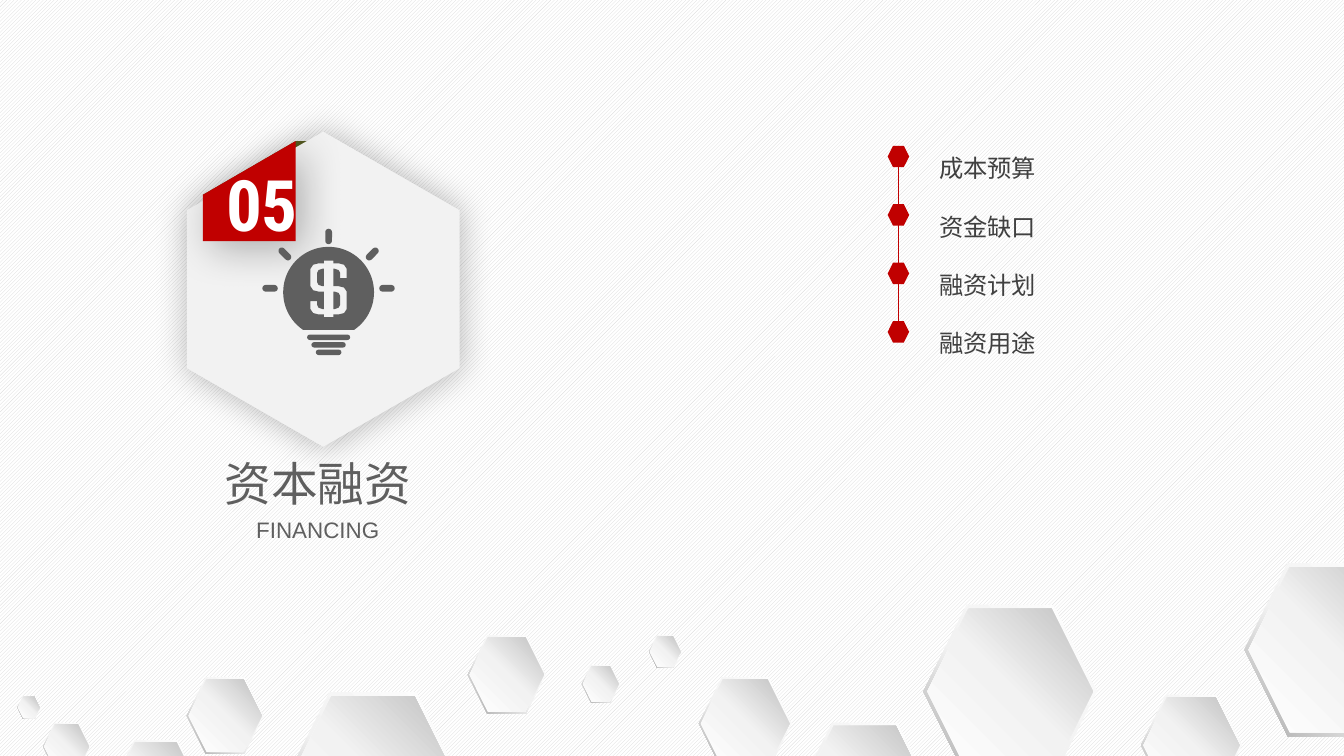
from dataclasses import dataclass
from math import cos, radians, sin

from lxml import etree
from pptx import Presentation
from pptx.dml.color import RGBColor
from pptx.enum.dml import MSO_PATTERN
from pptx.enum.shapes import MSO_CONNECTOR, MSO_SHAPE
from pptx.enum.text import MSO_ANCHOR, MSO_AUTO_SIZE, PP_ALIGN
from pptx.oxml.ns import qn
from pptx.util import Inches, Pt

HEXAGON, PILL = MSO_SHAPE.HEXAGON, MSO_SHAPE.ROUNDED_RECTANGLE
STRAIGHT = MSO_CONNECTOR.STRAIGHT
STRIPES = MSO_PATTERN.LIGHT_UPWARD_DIAGONAL
LEFT, CENTER = PP_ALIGN.LEFT, PP_ALIGN.CENTER
TOP, MIDDLE = MSO_ANCHOR.TOP, MSO_ANCHOR.MIDDLE
FIT_SHAPE = MSO_AUTO_SIZE.SHAPE_TO_FIT_TEXT

WHITE = RGBColor(0xFF, 0xFF, 0xFF)
PALE = RGBColor(0xF2, 0xF2, 0xF2)
STRIPE = RGBColor(0xD9, 0xD9, 0xD9)
SILVER = RGBColor(0xBF, 0xBF, 0xBF)
STEEL = RGBColor(0xA6, 0xA6, 0xA6)
GRAY = RGBColor(0x5F, 0x5F, 0x5F)
INK = RGBColor(0x40, 0x40, 0x40)
RED = RGBColor(0xC0, 0x00, 0x00)
OLIVE = RGBColor(0x5F, 0x65, 0x24)

CELL = Inches(0.1)  # the slide is a grid of 100 columns by 56.25 rows
COLUMNS, ROWS = 100, 56.25
Point = tuple[float, float]


@dataclass
class Tile:
    column: float
    row: float
    size: float


@dataclass
class Bar:
    """A pill given by its centre, length, thickness and rotation."""
    column: float
    row: float
    length: float
    thickness: float
    angle: float = 0


@dataclass
class Label:
    lines: list[str]
    box: tuple[float, float, float, float]
    size: float
    font: str
    color: RGBColor
    align: PP_ALIGN = CENTER
    anchor: MSO_ANCHOR = MIDDLE
    bold: bool = False
    spacing: float = 1.0
    insets: Point = (0.7, 0.4)
    grow: bool = False


TILES = [
    Tile(68.7, 45, 12.9), Tile(52, 50.4, 6.9), Tile(59.5, 53.8, 9.7),
    Tile(84.9, 51.7, 7.5), Tile(8.4, 55.1, 6.4), Tile(43.3, 49.5, 2.8),
    Tile(34.8, 47.3, 5.8), Tile(92.6, 41.9, 12.9), Tile(48.3, 47.3, 2.4),
    Tile(21.3, 51.5, 12.9), Tile(13.9, 50.4, 5.7), Tile(3.2, 53.8, 3.5),
    Tile(1.3, 51.8, 1.7),
]
TOPICS = ["成本预算", "资金缺口", "融资计划", "融资用途"]
MARKER_COLUMN, MARKER_ROW, MARKER_STEP, MARKER_SIZE = 66.85, 11.65, 4.35, 1.6

BULB_COLUMN, BULB_ROW, BULB_RADIUS = 24.45, 21.75, 3.38
BULB_BARS = [
    Bar(20.1, 21.45, 1.15, 0.5), Bar(21.2, 18.9, 1.15, 0.5, 45),
    Bar(BULB_COLUMN, 17.6, 1.15, 0.5, 90), Bar(27.7, 18.9, 1.15, 0.5, -45),
    Bar(28.8, 21.45, 1.15, 0.5),
    *(Bar(BULB_COLUMN, 25.1 + 0.56 * i, 3.2 - 0.65 * i, 0.4) for i in range(3)),
]
DOLLAR = [
    (25.8, 20.7), (25.8, 20), (25.6, 19.7), (25.2, 19.6), (24.8, 19.6),
    (24.8, 19.4), (24.1, 19.4), (24.1, 19.6), (23.7, 19.6), (23.3, 19.7),
    (23.1, 20), (23.1, 21.3), (23.3, 21.6), (23.7, 21.7), (24.1, 21.7),
    (24.1, 23), (24, 23), (23.7, 22.9), (23.6, 22.7), (23.6, 22.4),
    (23.1, 22.4), (23.1, 23), (23.3, 23.3), (23.7, 23.4), (24.1, 23.4),
    (24.1, 23.6), (24.8, 23.6), (24.8, 23.4), (25.2, 23.4), (25.6, 23.3),
    (25.8, 23), (25.8, 21.7), (25.6, 21.4), (25.2, 21.3), (24.8, 21.3),
    (24.8, 20), (24.9, 20), (25.2, 20.1), (25.3, 20.3), (25.3, 20.7),
]
DOLLAR_COUNTERS = [
    [(24.8, 21.7), (24.9, 21.7), (25.2, 21.8), (25.3, 22), (25.3, 22.7),
     (25.2, 22.9), (24.9, 23), (24.8, 23)],
    [(24.1, 20), (24, 20), (23.7, 20.1), (23.6, 20.3), (23.6, 21),
     (23.7, 21.2), (24, 21.3), (24.1, 21.3)],
]
BADGE = [(13.9, 27.4), (13.9, 15.65), (24.05, 9.8), (34.2, 15.65), (34.2, 27.4),
         (24.05, 33.25)]
FLAG = [(15.1, 17.95), (22, 17.95), (22, 10.5), (15.1, 14.5)]
FLAG_FOLD = [(15.1, 14.5), (22, 10.5), (24, 10.5), (24, 14.5)]


def cells(*counts: float) -> list[int]:
    return [round(count * CELL) for count in counts]


def paint(shape, color: RGBColor) -> None:
    shape.shadow.inherit = False
    shape.line.fill.background()
    shape.fill.solid()
    shape.fill.fore_color.rgb = color


def add_preset(page, kind, box, color: RGBColor):
    shape = page.shapes.add_shape(kind, *cells(*box))
    paint(shape, color)
    return shape


def add_outline(page, contours: list[list[Point]], color: RGBColor):
    """Draw closed contours as one shape; inner ones become holes."""
    builder = page.shapes.build_freeform(*cells(*contours[0][0]))
    for index, contour in enumerate(contours):
        points = [cells(*point) for point in contour]
        if index:
            builder.move_to(*points[0])
        builder.add_line_segments(points[1:], close=True)
    shape = builder.convert_to_shape()
    paint(shape, color)
    return shape


def shade(shape, stops: list[tuple[int, RGBColor]], angle: float) -> None:
    """Fill with a linear gradient; the angle runs counter-clockwise."""
    shape.fill.gradient()
    shape.fill.gradient_angle = angle
    stop_list = next(shape.element.spPr.iter(qn("a:gsLst")))
    for stop in list(stop_list):
        stop_list.remove(stop)
    for percent, color in stops:
        stop = etree.SubElement(stop_list, qn("a:gs"), pos=str(percent * 1000))
        etree.SubElement(stop, qn("a:srgbClr"), val=str(color))


def cast_shadow(shape, blur: float, distance: float, angle: int) -> None:
    effects = shape.element.spPr.find(qn("a:effectLst"))
    shadow = etree.SubElement(
        effects, qn("a:outerShdw"), blurRad=str(Pt(blur)), dist=str(Pt(distance)),
        dir=str(angle * 60000), algn="ctr", rotWithShape="0")
    color = etree.SubElement(shadow, qn("a:srgbClr"), val="000000")
    etree.SubElement(color, qn("a:alpha"), val="28000")


def add_tile(page, tile: Tile) -> None:
    inset = 0.0225 * tile.size
    face = tile.size - 2 * inset
    rim = add_preset(page, HEXAGON, (tile.column, tile.row, tile.size, tile.size), PALE)
    shade(rim, [(0, WHITE), (55, PALE), (100, STEEL)], 225)
    front = add_preset(page, HEXAGON, (tile.column + inset, tile.row + inset, face, face), PALE)
    shade(front, [(0, WHITE), (51, PALE), (100, SILVER)], 45)


def add_bar(page, bar: Bar) -> None:
    box = (bar.column - bar.length / 2, bar.row - bar.thickness / 2,
           bar.length, bar.thickness)
    pill = add_preset(page, PILL, box, GRAY)
    pill.adjustments[0] = 0.5
    pill.rotation = bar.angle


def add_label(page, label: Label) -> None:
    frame = page.shapes.add_textbox(*cells(*label.box)).text_frame
    frame.word_wrap = True
    frame.vertical_anchor = label.anchor
    if label.grow:
        frame.auto_size = FIT_SHAPE
    frame.margin_left, frame.margin_top = cells(*label.insets)
    frame.margin_right, frame.margin_bottom = cells(*label.insets)
    frame.text = "\n".join(label.lines)
    for para in frame.paragraphs:
        para.alignment = label.align
        para.line_spacing = label.spacing
        para.font.name = label.font
        para.font.size = Pt(label.size)
        para.font.bold = label.bold
        para.font.color.rgb = label.color


def add_topic_markers(page) -> None:
    rows = [MARKER_ROW + MARKER_STEP * i for i in range(len(TOPICS))]
    rail = page.shapes.add_connector(
        STRAIGHT, *cells(MARKER_COLUMN, rows[0], MARKER_COLUMN, rows[-1]))
    rail.line.fill.solid()
    rail.line.fill.fore_color.rgb = RED
    rail.line.width = Pt(0.5)
    etree.SubElement(rail.element.spPr, qn("a:effectLst"))
    half = MARKER_SIZE / 2
    for row in rows:
        add_preset(page, HEXAGON,
                   (MARKER_COLUMN - half, row - half, MARKER_SIZE, MARKER_SIZE), RED)


def add_bulb(page) -> None:
    glass = [(BULB_COLUMN + BULB_RADIUS * cos(radians(angle)),
              BULB_ROW + BULB_RADIUS * sin(radians(angle)))
             for angle in range(124, 417, 4)]
    add_outline(page, [glass, DOLLAR], GRAY)
    for counter in DOLLAR_COUNTERS:
        add_outline(page, [counter], GRAY)
    for bar in BULB_BARS:
        add_bar(page, bar)


def main() -> None:
    deck = Presentation()
    deck.slide_width, deck.slide_height = cells(COLUMNS, ROWS)
    page = deck.slides.add_slide(deck.slide_layouts[6])
    backdrop = page.background.fill
    backdrop.patterned()
    backdrop.pattern = STRIPES
    backdrop.fore_color.rgb, backdrop.back_color.rgb = STRIPE, WHITE

    for tile in TILES:
        add_tile(page, tile)
    add_topic_markers(page)
    add_label(page, Label(TOPICS, (69.2, 8.85, 18.6, 17.6), 13, "Noto Sans CJK SC",
                          INK, LEFT, TOP, spacing=2.0, grow=True))
    add_label(page, Label(["资本融资"], (13.15, 31.55, 21, 8.7), 25, "Arial", GRAY))
    add_label(page, Label(["FINANCING"], (16.15, 37.3, 15, 4.2), 12, "Arial", GRAY))
    add_outline(page, [FLAG_FOLD], OLIVE)
    cast_shadow(add_outline(page, [BADGE], PALE), 18, 0, 0)
    cast_shadow(add_outline(page, [FLAG], RED), 22, 6, 45)
    add_label(page, Label(["05"], (11.5, 11.45, 16, 7.4), 38, "Roboto Condensed", WHITE,
                          anchor=TOP, bold=True, insets=(1, 0.5), grow=True))
    add_bulb(page)
    deck.save("out.pptx")


if __name__ == "__main__":
    main()
